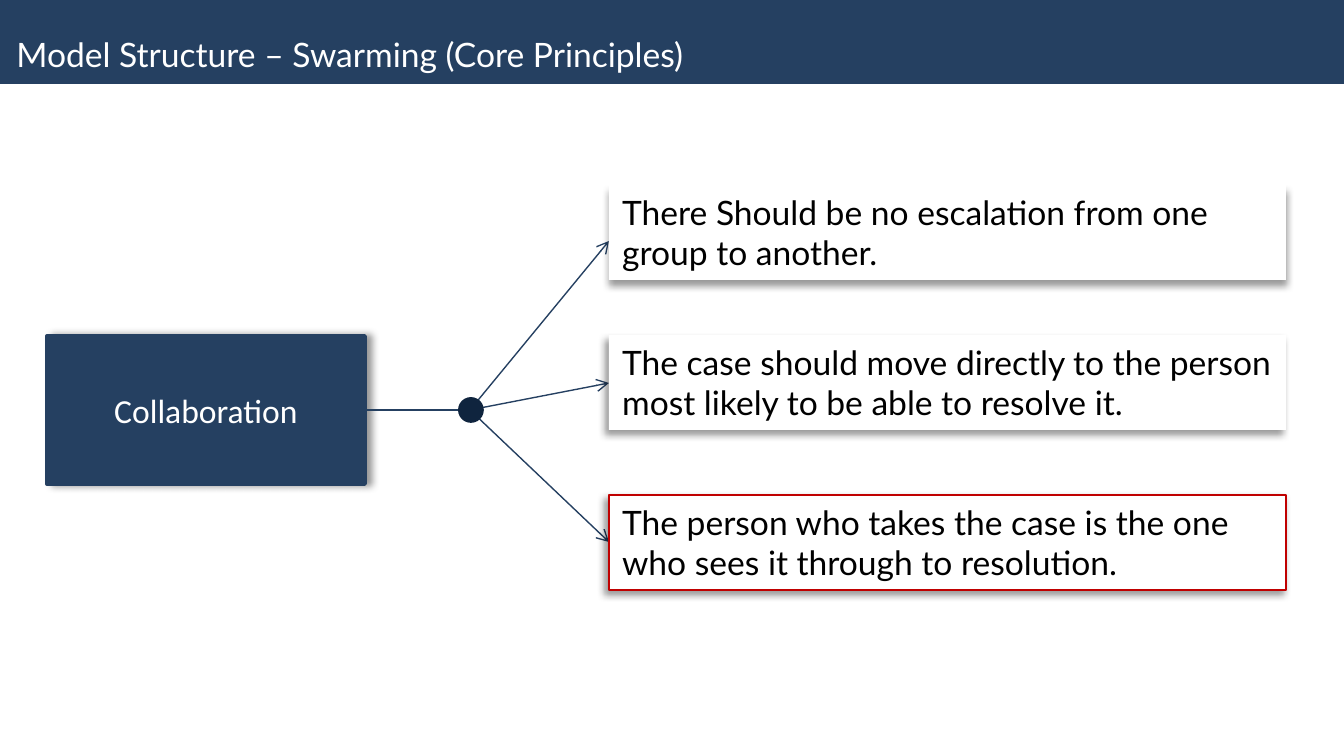
from lxml import etree
from pptx import Presentation
from pptx.dml.color import RGBColor
from pptx.enum.shapes import MSO_CONNECTOR as Connector, MSO_SHAPE as Shape
from pptx.enum.text import MSO_ANCHOR as Anchor, MSO_AUTO_SIZE as AutoSize, PP_ALIGN as Align
from pptx.oxml import parse_xml
from pptx.oxml.ns import nsdecls, qn
from pptx.util import Emu, Pt

PAGE_WIDTH, PAGE_HEIGHT = 1344, 756
EMU_PER_PX = 9144000 / PAGE_WIDTH

NAVY = RGBColor(0x25, 0x40, 0x61)
DARK_NAVY = RGBColor(0x0F, 0x24, 0x3E)
RED = RGBColor(0xC0, 0x00, 0x00)
WHITE = RGBColor(0xFF, 0xFF, 0xFF)
BLACK = RGBColor(0x00, 0x00, 0x00)

HUB = (470, 410)
CARD_LEFT, CARD_WIDTH, CARD_HEIGHT = 609, 677, 95

# Text, top, arrow end height, outline, shadow direction
PRINCIPLES = [
    ("There Should be no escalation from one group to another.", 185, 241, None, 90),
    ("The case should move directly to the person most likely to be able to resolve it.",
     335, 383, None, 135),
    ("The person who takes the case is the one who sees it through to resolution.",
     495, 542, RED, 135),
]


def px(length):
    return Emu(round(length * EMU_PER_PX))


def write_text(box, text, font="Lato", size=18, color=BLACK, align=Align.LEFT,
               anchor=Anchor.TOP, auto_size=AutoSize.NONE, wrap=True):
    frame = box.text_frame
    frame.word_wrap = wrap
    frame.auto_size = auto_size
    frame.vertical_anchor = anchor
    para = frame.paragraphs[0]
    para.alignment = align
    span = para.add_run()
    span.text = text
    span.font.name = font
    span.font.size = Pt(size)
    span.font.color.rgb = color


def add_shadow(box, direction):
    effects = box._element.spPr.find(qn("a:effectLst"))
    effects.append(parse_xml(
        f'<a:outerShdw {nsdecls("a")} blurRad="{Pt(4)}" dist="{Pt(3)}" '
        f'dir="{direction * 60000}" algn="tl" rotWithShape="0">'
        '<a:srgbClr val="000000"><a:alpha val="40000"/></a:srgbClr></a:outerShdw>'))


def add_box(page, left, top, width, height, fill, line=None, line_width=2,
            kind=Shape.RECTANGLE, shadow=None):
    box = page.shapes.add_shape(kind, px(left), px(top), px(width), px(height))
    box.shadow.inherit = False
    box.fill.solid()
    box.fill.fore_color.rgb = fill
    if line is None:
        box.line.fill.background()
    else:
        box.line.color.rgb = line
        box.line.width = Pt(line_width)
    if shadow is not None:
        add_shadow(box, shadow)
    return box


def add_line(page, start, end, arrow=False):
    line = page.shapes.add_connector(Connector.STRAIGHT, *map(px, start + end))
    line.line.color.rgb = NAVY
    line.line.width = Pt(0.75)
    if arrow:
        etree.SubElement(line.line._get_or_add_ln(), qn("a:tailEnd"), type="arrow")
    etree.SubElement(line._element.spPr, qn("a:effectLst"))


def add_header(page, text):
    banner = add_box(page, 0, 0, 1349, 82, NAVY, NAVY)
    title = page.shapes.title
    title.left, title.top, title.width, title.height = map(px, (3, 27, 859, 54))
    write_text(title, text, color=WHITE)
    # Bring the title in front of the banner
    banner._element.addnext(title._element)


def add_principle(page, text, top, arrow_end, outline, shadow):
    add_line(page, HUB, (CARD_LEFT, arrow_end), arrow=True)
    card = add_box(page, CARD_LEFT, top, CARD_WIDTH, CARD_HEIGHT, WHITE, outline, 0.75,
                   shadow=shadow)
    write_text(card, text, auto_size=AutoSize.SHAPE_TO_FIT_TEXT)


def main():
    deck = Presentation()
    deck.slide_width, deck.slide_height = px(PAGE_WIDTH), px(PAGE_HEIGHT)
    page = deck.slides.add_slide(deck.slide_layouts[5])

    # Title banner
    add_header(page, "Model Structure – Swarming (Core Principles)")

    # Main topic
    topic = add_box(page, 47, 336, 318, 148, NAVY, NAVY, shadow=0)
    write_text(topic, "Collaboration", font="Calibri", color=WHITE, align=Align.CENTER,
               anchor=Anchor.MIDDLE)

    # Principles with their arrows
    for principle in PRINCIPLES:
        add_principle(page, *principle)

    # Link from the topic to the hub
    add_line(page, (366, HUB[1]), HUB)
    add_box(page, 460, 399, 22, 22, DARK_NAVY, DARK_NAVY, kind=Shape.OVAL)

    deck.save("out.pptx")


if __name__ == "__main__":
    main()
